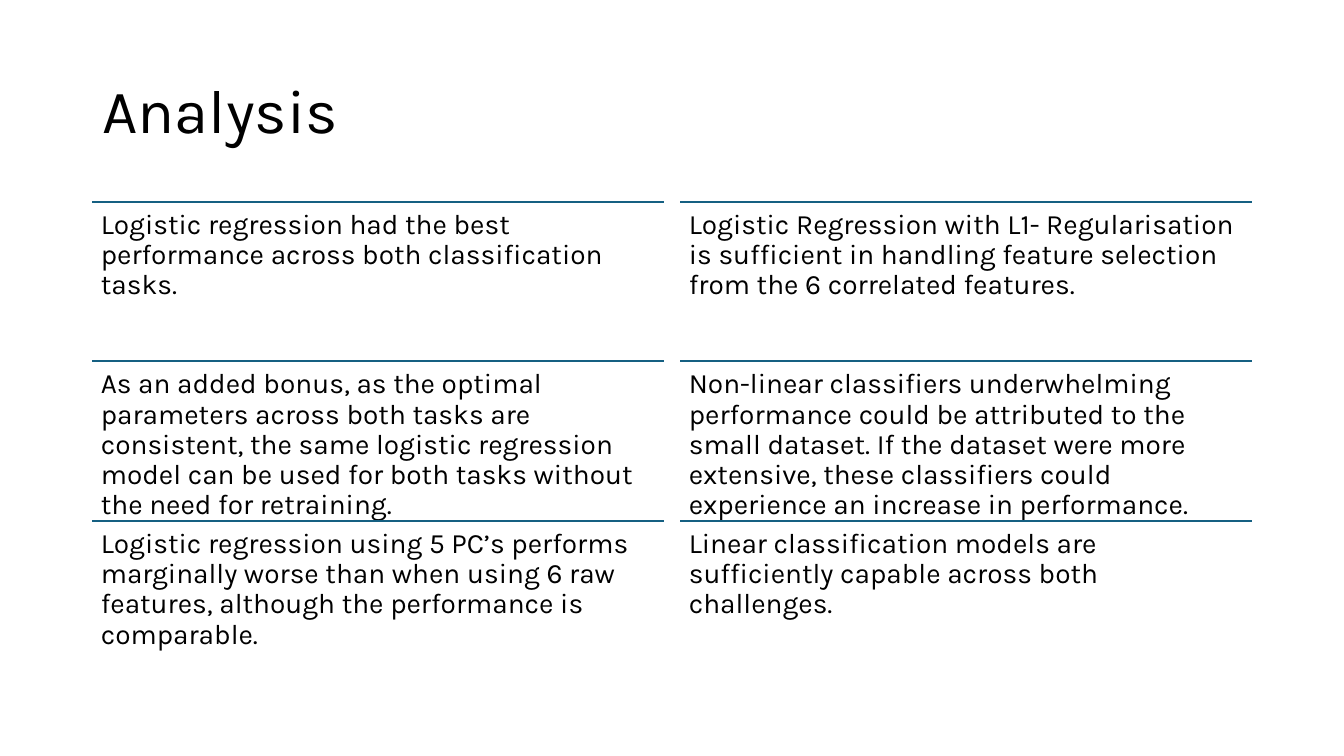
import dataclasses

import lxml.etree
import pptx
import pptx.dml.color
import pptx.enum.shapes
import pptx.enum.text
import pptx.oxml.ns
import pptx.slide
import pptx.text.text
import pptx.util

BLACK = pptx.dml.color.RGBColor(0x00, 0x00, 0x00)
TEAL = pptx.dml.color.RGBColor(0x15, 0x60, 0x82)
FONT = "Karla"

GRID_LEFT = 66
GRID_TOP = 144
CELL_WIDTH = 408
ROW_HEIGHT = 114
COLUMN_GAP = 12


@dataclasses.dataclass(frozen=True)
class Finding:
    column: int
    row: int
    text: str

    @property
    def left(self) -> float:
        return GRID_LEFT + self.column * (CELL_WIDTH + COLUMN_GAP)

    @property
    def top(self) -> float:
        return GRID_TOP + self.row * ROW_HEIGHT


FINDINGS = [
    Finding(0, 0, "Logistic regression had the best performance across both "
                  "classification tasks."),
    Finding(0, 1, "As an added bonus, as the optimal parameters across both tasks are "
                  "consistent, the same logistic regression model can be used for both "
                  "tasks without the need for retraining."),
    Finding(0, 2, "Logistic regression using 5 PC’s performs marginally worse than when "
                  "using 6 raw features, although the performance is comparable."),
    Finding(1, 0, "Logistic Regression with L1- Regularisation is sufficient in handling "
                  "feature selection from the 6 correlated features."),
    Finding(1, 1, "Non-linear classifiers underwhelming performance could be attributed "
                  "to the small dataset. If the dataset were more extensive, these "
                  "classifiers could experience an increase in performance."),
    Finding(1, 2, "Linear classification models are sufficiently capable across both "
                  "challenges."),
]


def write_text(
    text_frame: pptx.text.text.TextFrame,
    text: str,
    *,
    size: float,
    anchor: pptx.enum.text.MSO_ANCHOR = pptx.enum.text.MSO_ANCHOR.TOP,
    space_after: float = 0,
) -> None:
    """Fill a frame with one left-aligned, wrapped paragraph."""
    text_frame.word_wrap = True
    text_frame.auto_size = pptx.enum.text.MSO_AUTO_SIZE.NONE
    text_frame.vertical_anchor = anchor
    paragraph = text_frame.paragraphs[0]
    paragraph.alignment = pptx.enum.text.PP_ALIGN.LEFT
    paragraph.line_spacing = 0.9
    paragraph.space_after = pptx.util.Pt(space_after)
    run = paragraph.add_run()
    run.text = text
    run.font.name = FONT
    run.font.size = pptx.util.Pt(size)
    run.font.color.rgb = BLACK


def place_title(slide: pptx.slide.Slide, text: str) -> None:
    title = slide.shapes.title
    title.left, title.top = pptx.util.Pt(GRID_LEFT), pptx.util.Pt(28.75)
    title.width = pptx.util.Pt(2 * CELL_WIDTH + COLUMN_GAP)
    title.height = pptx.util.Pt(104.4)
    write_text(title.text_frame, text, size=44, anchor=pptx.enum.text.MSO_ANCHOR.MIDDLE)


def draw_rule(slide: pptx.slide.Slide, left: float, top: float) -> None:
    rule = slide.shapes.add_connector(
        pptx.enum.shapes.MSO_CONNECTOR.STRAIGHT,
        pptx.util.Pt(left),
        pptx.util.Pt(top),
        pptx.util.Pt(left + CELL_WIDTH),
        pptx.util.Pt(top),
    )
    rule.line.color.rgb = TEAL
    rule.line.width = pptx.util.Pt(1.5)
    lxml.etree.SubElement(rule._element.spPr, pptx.oxml.ns.qn("a:effectLst"))


def draw_finding(slide: pptx.slide.Slide, finding: Finding) -> None:
    draw_rule(slide, finding.left, finding.top)
    text_box = slide.shapes.add_textbox(
        pptx.util.Pt(finding.left),
        pptx.util.Pt(finding.top),
        pptx.util.Pt(CELL_WIDTH),
        pptx.util.Pt(ROW_HEIGHT),
    )
    text_frame = text_box.text_frame
    text_frame.margin_left = text_frame.margin_right = pptx.util.Pt(6)
    text_frame.margin_top = text_frame.margin_bottom = pptx.util.Pt(6)
    write_text(text_frame, finding.text, size=20, space_after=7)


def main() -> None:
    presentation = pptx.Presentation()
    presentation.slide_width = pptx.util.Pt(960)
    presentation.slide_height = pptx.util.Pt(540)
    title_only_layout = presentation.slide_layouts.get_by_name("Title Only")
    slide = presentation.slides.add_slide(title_only_layout)

    place_title(slide, "Analysis")
    for finding in FINDINGS:
        draw_finding(slide, finding)

    presentation.save("out.pptx")


if __name__ == "__main__":
    main()
